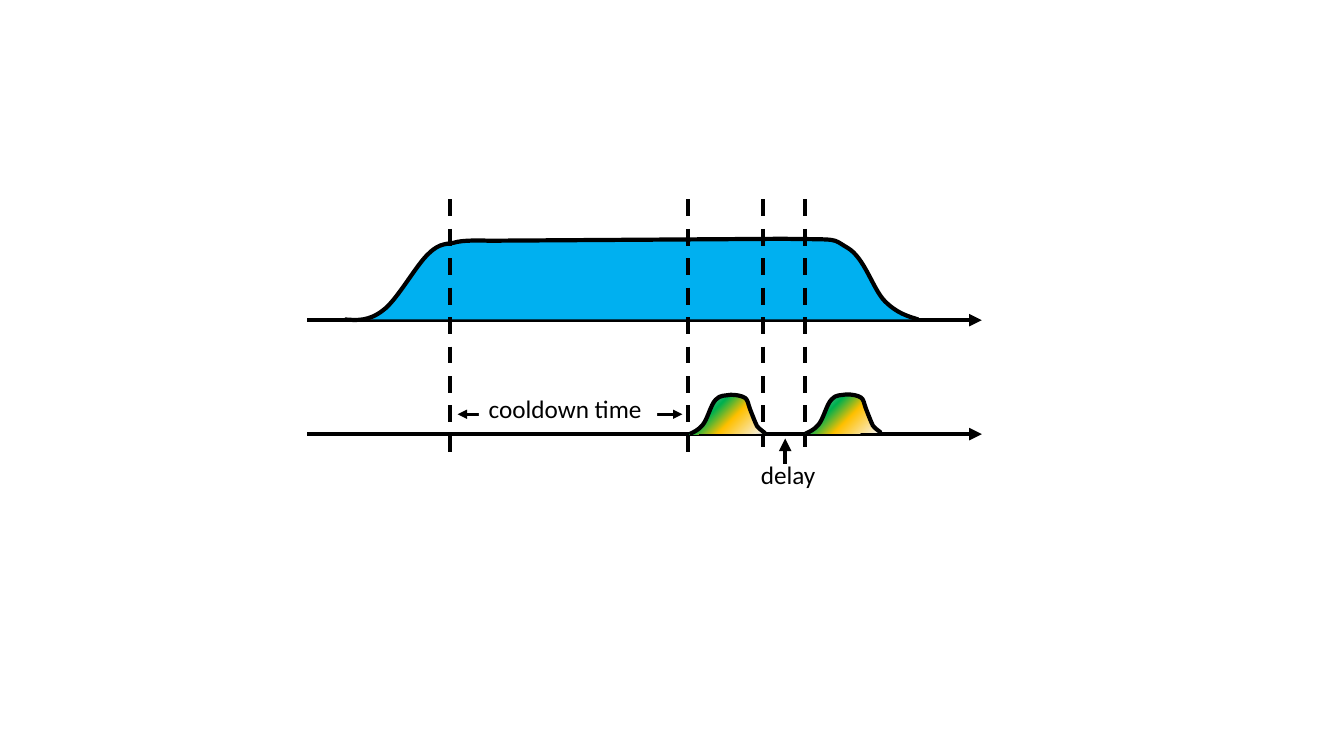
from lxml import etree
from pptx import Presentation
from pptx.dml.color import RGBColor
from pptx.enum.dml import MSO_LINE
from pptx.enum.shapes import MSO_CONNECTOR, MSO_SHAPE
from pptx.enum.text import MSO_ANCHOR, MSO_AUTO_SIZE, PP_ALIGN
from pptx.oxml.ns import qn
from pptx.util import Pt

STRAIGHT = MSO_CONNECTOR.STRAIGHT
RECTANGLE = MSO_SHAPE.RECTANGLE
DASH = MSO_LINE.DASH
TOP = MSO_ANCHOR.TOP
LEFT = PP_ALIGN.LEFT
GROW = MSO_AUTO_SIZE.SHAPE_TO_FIT_TEXT

BLACK, WHITE, BLUE = "000000", "FFFFFF", "00B0F0"
PULSE_STOPS = [(0, "F6F8FC"), (42, "FFC000"), (65, "00B050"), (100, "C7D5ED")]

# Offsets from the left foot: two control points and an end point, or a line's end alone.
ENVELOPE_SEGMENTS = [
    [(8.6, 0.7), (17.3, 1.4), (27.4, -6.5)],
    [(37.4, -13.7), (51.1, -38.9), (59.8, -46.8)],
    [(68.4, -55.4), (73.4, -53.3), (80.6, -55.4)],
    [(87.8, -56.9), (103, -56.2), (103, -56.2)],
    [(313.2, -57.6)],
    [(355.7, -56.9), (347, -58.3), (359.3, -51.1)],
    [(371.5, -43.9), (377.3, -21.6), (385.9, -13)],
    [(394.6, -4.3), (402.5, -2.2), (409.7, 0)],
]
PULSE_SEGMENTS = [
    [(2.9, -1.4), (6.5, -2.9), (9.4, -6.5)],
    [(13, -10.8), (15.1, -20.9), (18.7, -24.5)],
    [(21.6, -28.1), (25.9, -27.4), (29.5, -28.1)],
    [(33.1, -28.1), (37.4, -27.4), (39.6, -25.9)],
    [(41.8, -24.5), (41.8, -21.6), (43.2, -18)],
    [(44.6, -14.4), (46.8, -8.6), (48.2, -5.8)],
    [(50.4, -2.9), (52.6, -2.2), (54, -0.7)],
]


def color(hex_string):
    return RGBColor.from_string(hex_string)


def add_line(slide, start, end, weight=3, arrows=(), dashed=False):
    """Draw a black line; arrows names the ends ("headEnd", "tailEnd") with a triangle."""
    line = slide.shapes.add_connector(STRAIGHT, *map(Pt, (*start, *end)))
    line.line.color.rgb = color(BLACK)
    line.line.width = Pt(weight)
    if dashed:
        line.line.dash_style = DASH
    for arrow in arrows:
        etree.SubElement(line.line._get_or_add_ln(), qn("a:" + arrow), type="triangle")
    etree.SubElement(line._element.spPr, qn("a:effectLst"))


def add_curve(slide, left, baseline, segments):
    """Outline the segments' end points, then bend each three-point segment."""
    placed = [[(Pt(left + x), Pt(baseline + y)) for x, y in segment] for segment in segments]
    builder = slide.shapes.build_freeform(Pt(left), Pt(baseline))
    builder.add_line_segments([segment[-1] for segment in placed], close=False)
    shape = builder.convert_to_shape()
    straight_parts = list(shape._element.iter(qn("a:lnTo")))
    for part, segment in zip(straight_parts, placed):
        if len(segment) == 3:
            bend = etree.Element(qn("a:cubicBezTo"))
            for x, y in segment:
                etree.SubElement(bend, qn("a:pt"), x=str(x - shape.left), y=str(y - shape.top))
            part.getparent().replace(part, bend)
    shape.shadow.inherit = False
    shape.line.color.rgb = color(BLACK)
    shape.line.width = Pt(3)
    return shape


def add_pulse(slide, left, baseline):
    pulse = add_curve(slide, left, baseline, PULSE_SEGMENTS)
    pulse.fill.gradient()
    pulse.fill.gradient_angle = 135
    stop_list = pulse._element.spPr.find(qn("a:gradFill")).find(qn("a:gsLst"))
    for stop in list(stop_list):
        stop_list.remove(stop)
    for percent, hex_string in PULSE_STOPS:
        stop = etree.SubElement(stop_list, qn("a:gs"), pos=str(percent * 1000))
        etree.SubElement(stop, qn("a:srgbClr"), val=hex_string)


def format_label(shape, text):
    frame = shape.text_frame
    frame.text = text
    frame.word_wrap = False
    frame.auto_size = GROW
    frame.vertical_anchor = TOP
    paragraph = frame.paragraphs[0]
    paragraph.alignment = LEFT
    font = paragraph.runs[0].font
    font.name, font.size = "Calibri", Pt(18)
    font.color.rgb = color(BLACK)


def add_axis(slide, left, baseline, width):
    add_line(slide, (left, baseline), (left + width, baseline), arrows=["tailEnd"])


def draw_envelope(slide, left, baseline, width):
    add_axis(slide, left, baseline, width)
    envelope = add_curve(slide, left + 26.6, baseline - 0.5, ENVELOPE_SEGMENTS)
    envelope.fill.solid()
    envelope.fill.fore_color.rgb = color(BLUE)


def draw_guides(slide, top, height, positions):
    for x in positions:
        add_line(slide, (x, top), (x, top + height), dashed=True)


def draw_cooldown(slide, left, middle, width):
    add_line(slide, (left, middle), (left + width, middle), 2.25, ["headEnd", "tailEnd"])
    label = slide.shapes.add_shape(
        RECTANGLE, Pt(left + 15.1), Pt(middle - 18.7), Pt(127.4), Pt(29))
    label.shadow.inherit = False
    label.fill.solid()
    label.fill.fore_color.rgb = color(WHITE)
    label.line.fill.background()
    format_label(label, "cooldown time")


def draw_delay(slide, left, top, width):
    label = slide.shapes.add_textbox(Pt(left), Pt(top), Pt(width), Pt(29))
    format_label(label, "delay")
    x = left + 24.5
    add_line(slide, (x, top + 6.5), (x, top - 11.5), arrows=["tailEnd"])


def draw_timing_diagram(slide, left, top, width):
    pulse_baseline = top + 167.7
    draw_envelope(slide, left, top + 86.3, width)
    add_axis(slide, left, pulse_baseline, width)
    add_pulse(slide, left + 272.9, pulse_baseline)
    draw_guides(slide, top, 182, (left + 271.9, left + 101.9))
    draw_cooldown(slide, left + 107.3, top + 153.5, 160.6)
    add_pulse(slide, left + 355.7, pulse_baseline - 0.3)
    draw_guides(slide, top, 177, (left + 325.4, left + 355.4))
    draw_delay(slide, left + 316.8, top + 182.3, 54)


def main():
    presentation = Presentation()
    presentation.slide_width, presentation.slide_height = Pt(960), Pt(540)
    slide = presentation.slides.add_slide(presentation.slide_layouts[6])
    draw_timing_diagram(slide, left=219.6, top=142.4, width=481.7)
    presentation.save("out.pptx")


if __name__ == "__main__":
    main()
